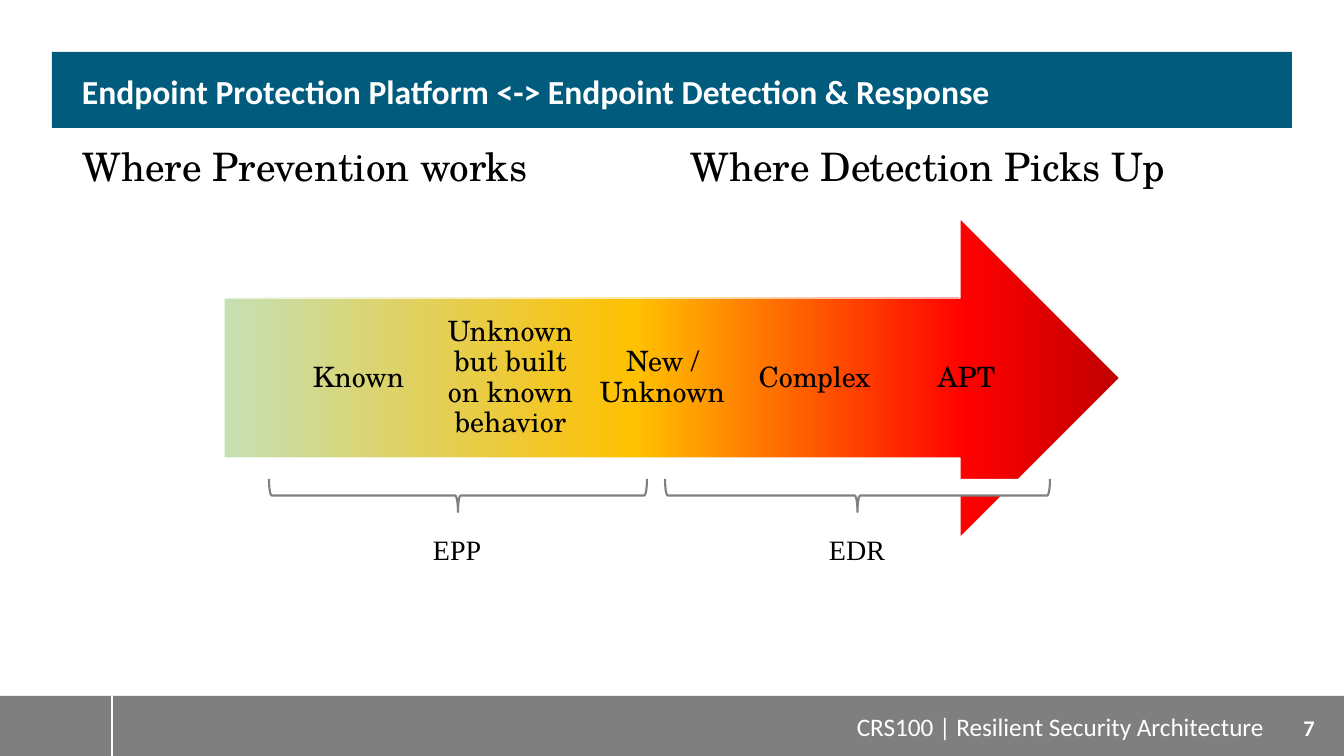
from lxml import etree
from pptx import Presentation
from pptx.dml.color import RGBColor
from pptx.enum.shapes import MSO_CONNECTOR, MSO_SHAPE
from pptx.enum.text import MSO_ANCHOR as ANCHOR, PP_ALIGN as ALIGN
from pptx.oxml.ns import qn
from pptx.util import Pt

EMU_PER_PX = 914400 / 100.8
SANS, SCHOOL, ROMAN = "Calibri", "TeX Gyre Schola", "Times New Roman"
COLORS = {
    "white": "FFFFFF", "black": "000000", "header": "005B7D",
    "footer": "7F7F7F", "brace": "808080",
    "known": "C5E0B4", "new": "FFC000", "apt": "FF0000", "tip": "C00000",
}
THREAT_STOPS = [(0, "known"), (46, "new"), (83, "apt"), (100, "tip")]
STAGES = ["Known", "Unknown but built on known behavior",
          "New / Unknown", "Complex", "APT"]


def px(n):
    return round(n * EMU_PER_PX)


def rgb(name):
    return RGBColor.from_string(COLORS[name])


def add_text(slide, box, text, font, size, color="black", bold=False,
             align=ALIGN.LEFT, anchor=ANCHOR.TOP, insets=(10, 5, 10, 5),
             spacing=1.0, wrap=True):
    tf = slide.shapes.add_textbox(*map(px, box)).text_frame
    tf.word_wrap = wrap
    tf.vertical_anchor = anchor
    tf.margin_left, tf.margin_top, tf.margin_right, tf.margin_bottom = map(px, insets)
    p = tf.paragraphs[0]
    p.text = text
    p.alignment = align
    p.line_spacing = spacing
    p.font.name = font
    p.font.size = Pt(size)
    p.font.bold = bold
    p.font.color.rgb = rgb(color)


def add_shape(slide, kind, box, fill, line=None, width=1):
    sp = slide.shapes.add_shape(kind, *map(px, box))
    sp.shadow.inherit = False
    sp.fill.solid()
    sp.fill.fore_color.rgb = rgb(fill)
    if line:
        sp.line.color.rgb = rgb(line)
        sp.line.width = Pt(width)
    else:
        sp.line.fill.background()
    return sp


def add_footer(slide, x, y, w, h):
    add_shape(slide, MSO_SHAPE.RECTANGLE, (x, y, w, h), "footer")
    divider = slide.shapes.add_connector(
        MSO_CONNECTOR.STRAIGHT, px(x + 112), px(y), px(x + 112), px(y + h))
    divider.line.color.rgb = rgb("white")
    divider.line.width = Pt(2)
    etree.SubElement(divider._element.spPr, qn("a:effectLst"))
    add_text(slide, (x + 602, y + 10, 672, 40),
             "CRS100 | Resilient Security Architecture",
             SANS, 18, "white", align=ALIGN.RIGHT)
    add_text(slide, (x + w - 70, y + 2, 70, h), "7", SANS, 16, "white", True,
             ALIGN.CENTER, ANCHOR.MIDDLE)


def add_header(slide, x, y, w, h):
    add_shape(slide, MSO_SHAPE.RECTANGLE, (x, y, w, h), "header")
    add_text(slide, (x + 20, y, w - 40, h),
             "Endpoint Protection Platform <-> Endpoint Detection & Response",
             SANS, 24, "white", True, anchor=ANCHOR.MIDDLE,
             insets=(10, 7, 10, 0), spacing=0.9)


def add_headings(slide, x, y, w, h):
    for i, text in enumerate(["Where Prevention works", "Where Detection Picks Up"]):
        add_text(slide, (x + i * (w + 16), y, w, h), text, SCHOOL, 28, spacing=0.9)


def add_threat_arrow(slide, x, y, w, h):
    arrow = add_shape(slide, MSO_SHAPE.RIGHT_ARROW, (x, y, w, h), "new", "white")
    arrow.fill.gradient()
    arrow.fill.gradient_angle = 0
    stops = arrow._element.spPr.find(qn("a:gradFill")).find(qn("a:gsLst"))
    for old in list(stops):
        stops.remove(old)
    for percent, name in THREAT_STOPS:
        stop = etree.SubElement(stops, qn("a:gs"), pos=str(percent * 1000))
        etree.SubElement(stop, qn("a:srgbClr"), val=COLORS[name])
    for i, stage in enumerate(STAGES):
        add_text(slide, (x + 71 + i * 152, y + h // 4, 127, h // 2), stage,
                 SCHOOL, 20, align=ALIGN.CENTER, anchor=ANCHOR.MIDDLE,
                 insets=(0, 22, 0, 22), spacing=0.9)


def add_span(slide, x, y, w, h, label, label_width):
    middle = x + w / 2
    brace = add_shape(slide, MSO_SHAPE.LEFT_BRACE,
                      (middle - h / 2, y + h / 2 - w / 2, h, w),
                      "white", "brace", 1.5)
    brace.rotation = 270
    add_text(slide, (middle - label_width / 2, y + h + 15, label_width, 44),
             label, ROMAN, 20, wrap=False)


def main():
    prs = Presentation()
    prs.slide_width, prs.slide_height = px(1344), px(756)
    slide = prs.slides.add_slide(prs.slide_layouts[6])
    add_footer(slide, 0, 696, 1344, 60)
    add_header(slide, 52, 52, 1240, 76)
    add_headings(slide, 73, 143, 592, 530)
    add_threat_arrow(slide, 224, 218, 896, 320)
    add_span(slide, 269, 479, 378, 33, "EPP", 70)
    add_span(slide, 665, 479, 385, 33, "EDR", 77)
    prs.save("out.pptx")


if __name__ == "__main__":
    main()
